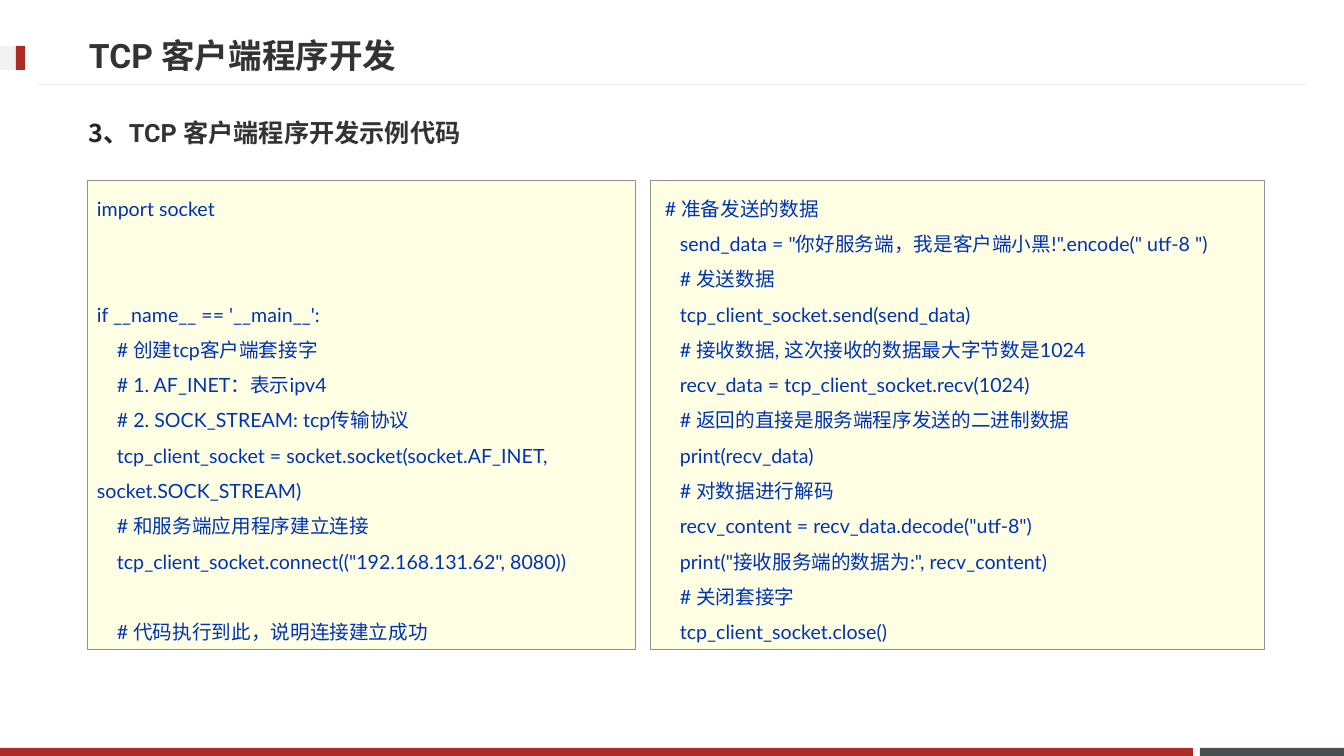
import pptx
import pptx.util
import pptx.dml.color
import pptx.enum.shapes
import pptx.enum.text
import pptx.oxml
import pptx.oxml.ns

SCALE = 914400 / 100.8
RED, PALE, DARK, INK = "AD2B26", "F2F2F2", "49504F", "333333"
CODE = {"size": 14, "font": "Lato", "color": "0033B3", "pitch": 1.5}
LINE = 25.2  # points taken by one line of code
STEP = 20  # px of one code indent

# Each line of code: indent in px, blank lines above, text
LEFT = [
    (0, 0, "import socket"),
    (0, 2, "if __name__ == '__main__':"),
    (STEP, 0, "# 创建tcp客户端套接字"),
    (STEP, 0, "# 1. AF_INET：表示ipv4"),
    (STEP, 0, "# 2. SOCK_STREAM: tcp传输协议"),
    (STEP, 0, "tcp_client_socket = socket.socket(socket.AF_INET, socket.SOCK_STREAM)"),
    (STEP, 0, "# 和服务端应用程序建立连接"),
    (STEP, 0, 'tcp_client_socket.connect(("192.168.131.62", 8080))'),
    (STEP, 1, "# 代码执行到此，说明连接建立成功"),
]
RIGHT = [(5, 0, "# 准备发送的数据")] + [(STEP, 0, text) for text in (
    'send_data = "你好服务端，我是客户端小黑!".encode(" utf-8 ")',
    "# 发送数据",
    "tcp_client_socket.send(send_data)",
    "# 接收数据, 这次接收的数据最大字节数是1024",
    "recv_data = tcp_client_socket.recv(1024)",
    "# 返回的直接是服务端程序发送的二进制数据",
    "print(recv_data)",
    "# 对数据进行解码",
    'recv_content = recv_data.decode("utf-8")',
    'print("接收服务端的数据为:", recv_content)',
    "# 关闭套接字",
    "tcp_client_socket.close()",
)]


def px(*nums):
    return [pptx.util.Emu(round(num * SCALE)) for num in nums]


def rgb(code):
    return pptx.dml.color.RGBColor.from_string(code)


def write(para, text, size, font, color, bold=False, pitch=None, above=0, indent=0):
    """Add a run of text to a paragraph; spacing is in points, indent in px."""
    run = para.add_run()
    run.text = text
    run.font.size = pptx.util.Pt(size)
    run.font.name = font
    run.font.bold = bold
    run.font.color.rgb = rgb(color)
    east = pptx.oxml.parse_xml(
        f'<a:ea {pptx.oxml.ns.nsdecls("a")} typeface="{font}"/>')
    run.font._element.find(pptx.oxml.ns.qn("a:latin")).addnext(east)
    para.alignment = pptx.enum.text.PP_ALIGN.LEFT
    if pitch:
        para.line_spacing = pitch
    if above:
        para.space_before = pptx.util.Pt(above)
    if indent:
        para._p.get_or_add_pPr().set("indent", str(px(indent)[0]))


def block(slide, box, fill, edge=None):
    shape = slide.shapes.add_shape(pptx.enum.shapes.MSO_SHAPE.RECTANGLE, *px(*box))
    shape.shadow.inherit = False
    shape.fill.solid()
    shape.fill.fore_color.rgb = rgb(fill)
    if edge:
        shape.line.color.rgb = rgb(edge)
        shape.line.width = pptx.util.Pt(0.25)
    else:
        shape.line.fill.background()
    return shape


def rule(slide, ends, color):
    line = slide.shapes.add_connector(
        pptx.enum.shapes.MSO_CONNECTOR.STRAIGHT, *px(*ends))
    line.line.color.rgb = rgb(color)
    line.line.width = pptx.util.Pt(0.75)
    line._element.spPr.append(
        pptx.oxml.parse_xml(f'<a:effectLst {pptx.oxml.ns.nsdecls("a")}/>'))


def label(slide, box):
    """Add a text box centred in height and return its paragraph."""
    frame = slide.shapes.add_textbox(*px(*box)).text_frame
    frame.word_wrap = True
    frame.vertical_anchor = pptx.enum.text.MSO_ANCHOR.MIDDLE
    return frame.paragraphs[0]


def panel(slide, box, lines):
    """Add a framed box of code."""
    frame = block(slide, box, "FFFFE4", edge="919191").text_frame
    frame.word_wrap = True
    frame.vertical_anchor = pptx.enum.text.MSO_ANCHOR.TOP
    for num, (indent, gap, text) in enumerate(lines):
        para = frame.add_paragraph() if num else frame.paragraphs[0]
        write(para, text, indent=indent, above=gap * LINE, **CODE)


def main():
    deck = pptx.Presentation()
    deck.slide_width, deck.slide_height = px(1344, 756)
    slide = deck.slides.add_slide(deck.slide_layouts[6])

    block(slide, (1200, 748, 144, 8), DARK)
    block(slide, (0, 748, 1193, 8), RED)
    rule(slide, (1308, 85, 36, 85), PALE)
    block(slide, (0, 46, 25, 24), PALE)
    block(slide, (16, 46, 9, 24), RED)

    title = label(slide, (79, 27, 967, 57))
    write(title, "TCP 客户端程序开发", size=24, font="Roboto", color=INK, bold=True)
    head = label(slide, (79, 104, 1185, 57))
    write(head, "3、", size=18, font="Noto Sans CJK JP", color="262626",
          bold=True, above=3.6)
    write(head, "TCP 客户端程序开发示例代码", size=18, font="Roboto", color=INK, bold=True)

    panel(slide, (87, 180, 548, 469), LEFT)
    panel(slide, (650, 180, 614, 469), RIGHT)
    deck.save("out.pptx")


if __name__ == "__main__":
    main()
